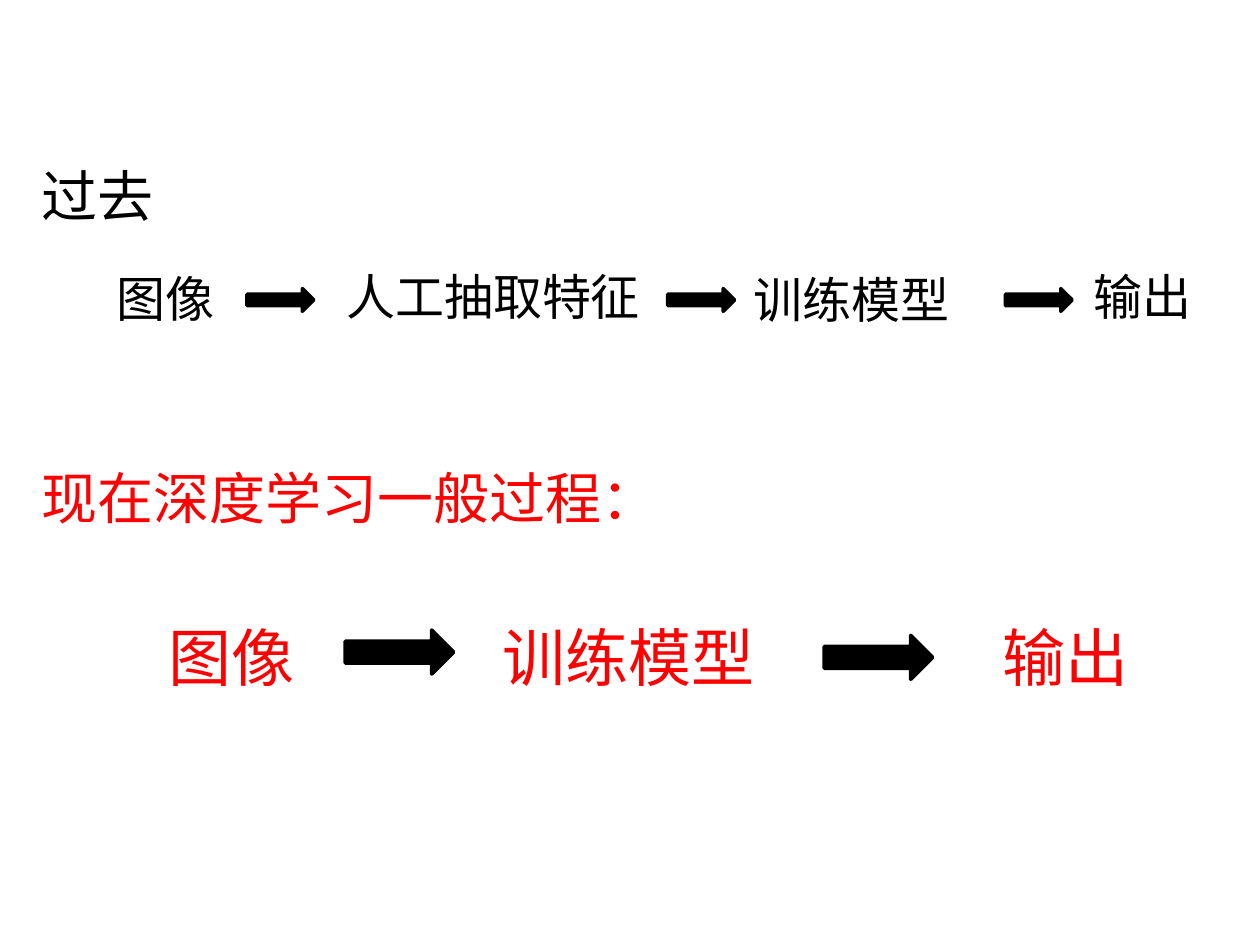
from pptx import Presentation
from pptx import util as u
from pptx.dml.color import RGBColor
from pptx.enum import shapes, text

BLACK = RGBColor(0, 0, 0)
RED = RGBColor(255, 0, 0)


class Sketch:
    font = "Calibri"
    line_width = u.Pt(2)

    def __init__(self, slide):
        self.s = slide

    def label(self, words, x, y, w, h, size, color):
        sp = self.s.shapes.add_textbox(u.Pt(x), u.Pt(y), u.Pt(w), u.Pt(h))
        tf = sp.text_frame
        tf.word_wrap = True
        tf.auto_size = text.MSO_AUTO_SIZE.SHAPE_TO_FIT_TEXT
        p = tf.paragraphs[0]
        r = p.add_run()
        r.text = words
        r.font.name = self.font
        r.font.size = u.Pt(size)
        r.font.color.rgb = color

    def arrow(self, x, y, w, h):
        sp = self.s.shapes.add_shape(
            shapes.MSO_SHAPE.RIGHT_ARROW, u.Pt(x), u.Pt(y), u.Pt(w), u.Pt(h))
        sp.shadow.inherit = False
        sp.fill.solid()
        sp.fill.fore_color.rgb = BLACK
        sp.line.color.rgb = BLACK
        sp.line.width = self.line_width


def main():
    prs = Presentation()
    prs.slide_width, prs.slide_height = u.Pt(720), u.Pt(540)
    s = Sketch(prs.slides.add_slide(prs.slide_layouts[6]))

    s.label("过去", 16.5, 88.5, 91.5, 46, 32, BLACK)
    for words, x, y, w in [("图像", 59.75, 149.75, 75.5),
                           ("人工抽取特征", 190.8, 149, 198),
                           ("训练模型", 423.35, 150.5, 170),
                           ("输出", 617.75, 149, 83.5)]:
        s.label(words, x, y, w, 41, 28, BLACK)
    for x in (141.1, 381.6, 574.5):
        s.arrow(x, 164.9, 38.2, 13)

    s.label("现在深度学习一般过程：", 16.5, 261.4, 357, 46, 32, RED)
    for words, x, w in [("图像", 89.3, 96.5),
                        ("训练模型", 280, 170),
                        ("输出", 566, 113)]:
        s.label(words, x, 350, w, 51, 36, RED)
    for x, y in ((197.3, 360), (471, 363)):
        s.arrow(x, y, 62, 25.2)

    prs.save("out.pptx")


if __name__ == "__main__":
    main()
